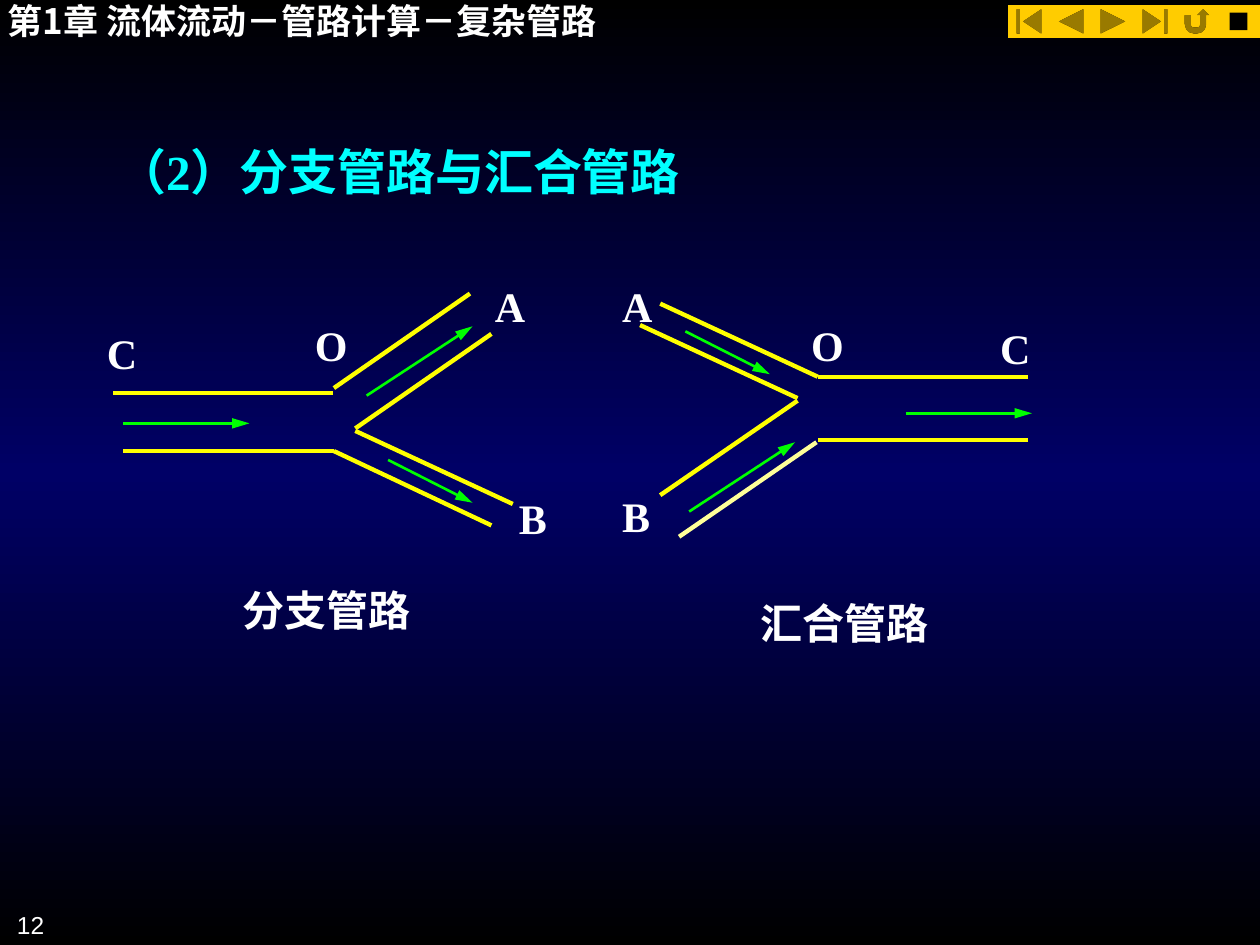
from copy import deepcopy

from pptx import Presentation
from pptx.dml.color import RGBColor
from pptx.enum.shapes import MSO_CONNECTOR, MSO_SHAPE as Shape
from pptx.enum.text import MSO_ANCHOR, MSO_AUTO_SIZE, PP_ALIGN as Align
from pptx.oxml.ns import qn
from pptx.util import Inches, Pt

# Content
HEADER = "第1章 流体流动－管路计算－复杂管路"
TITLE = "（2）分支管路与汇合管路"
PAGE_NUMBER = "12"
GRADIENT = [(0, "000000"), (0.5, "000066"), (1, "000000")]
SERIF, SANS, CJK = "Times New Roman", "Arial", "Noto Sans CJK SC"
WHITE, CYAN, GOLD, BLACK = "FFFFFF", "00FFFF", "FFCC00", "000000"
YELLOW, PALE, GREEN = "FFFF00", "FFFF99", "00FF00"

BUTTONS = [
    Shape.ACTION_BUTTON_BEGINNING, Shape.ACTION_BUTTON_BACK_OR_PREVIOUS,
    Shape.ACTION_BUTTON_FORWARD_OR_NEXT, Shape.ACTION_BUTTON_END,
    Shape.ACTION_BUTTON_RETURN, Shape.ACTION_BUTTON_CUSTOM,
]

# Pipe walls and flow arrows: x1, y1, x2, y2; labels: text, left, top, width
DIAGRAMS = {
    "branching": {
        "walls": [
            (0.9, 3.12, 2.64, 3.12), (0.98, 3.58, 2.65, 3.58),
            (2.65, 3.08, 3.73, 2.33), (2.82, 3.4, 3.9, 2.65),
            (2.82, 3.42, 4.07, 4), (2.65, 3.58, 3.9, 4.17),
        ],
        "pale walls": [],
        "flows": [
            (0.98, 3.36, 1.98, 3.36), (2.91, 3.14, 3.75, 2.59),
            (3.08, 3.65, 3.75, 3.99),
        ],
        "labels": [
            ("C", 0.75, 2.55, 0.5), ("O", 2.4, 2.49, 0.5),
            ("A", 3.83, 2.18, 0.5), ("B", 4.02, 3.86, 0.5),
            ("分支管路", 1.83, 4.59, 2.58),
        ],
    },
    "converging": {
        "walls": [
            (8.16, 3.49, 6.49, 3.49), (8.16, 2.99, 6.49, 2.99),
            (6.33, 3.18, 5.24, 3.93), (6.33, 3.16, 5.08, 2.58),
            (6.49, 2.99, 5.24, 2.41),
        ],
        "pale walls": [(6.48, 3.51, 5.39, 4.26)],
        "flows": [
            (7.19, 3.28, 8.19, 3.28), (5.47, 4.06, 6.31, 3.51),
            (5.44, 2.63, 6.11, 2.97),
        ],
        "labels": [
            ("C", 7.84, 2.51, 0.5), ("O", 6.34, 2.49, 0.5),
            ("A", 4.84, 2.18, 0.5), ("B", 4.84, 3.84, 0.5),
            ("汇合管路", 5.94, 4.69, 2.58),
        ],
    },
}
# Line style: colour, width, arrowhead
LINES = {
    "walls": (YELLOW, 2.5, False),
    "pale walls": (PALE, 2.5, False),
    "flows": (GREEN, 1.5, True),
}


def rgb(value):
    return RGBColor.from_string(value)


def apply(target, formats):
    for name, value in formats.items():
        setattr(target, name, value)


def write(box, place, text, size, color, font=SERIF, bold=True,
          align=Align.JUSTIFY, before=0):
    apply(box, dict(zip(("left", "top", "width", "height"), map(Inches, place))))
    frame = box.text_frame
    apply(frame, {
        "word_wrap": True, "auto_size": MSO_AUTO_SIZE.NONE,
        "vertical_anchor": MSO_ANCHOR.TOP,
        "margin_left": Inches(0.1), "margin_right": Inches(0.1),
        "margin_top": Inches(0.05), "margin_bottom": Inches(0.05),
    })
    para = frame.paragraphs[0]
    apply(para, {"alignment": align, "space_before": Pt(before), "line_spacing": 1.0})
    span = para.add_run()
    span.text = text
    apply(span.font, {"size": Pt(size), "bold": bold, "name": font})
    span.font.color.rgb = rgb(color)
    east = span.font._element.makeelement(qn("a:ea"), {"typeface": CJK})
    span.font._element.find(qn("a:latin")).addnext(east)


def add_text(page, place, *args, **formats):
    write(page.shapes.add_textbox(0, 0, 0, 0), place, *args, **formats)


def add_solid(page, kind, place, color):
    shape = page.shapes.add_shape(kind, *map(Inches, place))
    shape.shadow.inherit = False
    shape.fill.solid()
    shape.fill.fore_color.rgb = rgb(color)
    shape.line.fill.background()


def add_line(page, ends, color, width, arrow):
    line = page.shapes.add_connector(MSO_CONNECTOR.STRAIGHT, *map(Inches, ends))
    line.line.color.rgb = rgb(color)
    line.line.width = Pt(width)
    if arrow:
        stroke = line.line._get_or_add_ln()
        head = {"type": "triangle", "w": "med", "len": "lg"}
        stroke.append(stroke.makeelement(qn("a:tailEnd"), head))
    properties = line._element.spPr
    properties.append(properties.makeelement(qn("a:effectLst"), {}))


def paint_background(page):
    fill = page.background.fill
    fill.gradient()
    fill.gradient_angle = 90
    stop_list = next(page._element.iter(qn("a:gsLst")))
    stop_list.insert(1, deepcopy(stop_list[0]))
    for stop, (position, color) in zip(fill.gradient_stops, GRADIENT):
        stop.position = position
        stop.color.rgb = rgb(color)


def main():
    deck = Presentation()
    apply(deck, {"slide_width": Inches(10), "slide_height": Inches(7.5)})
    page = deck.slides.add_slide(deck.slide_layouts[5])
    paint_background(page)

    # Navigation buttons, side by side up to the right edge
    step = 2 / len(BUTTONS)
    for index, kind in enumerate(BUTTONS):
        add_solid(page, kind, (8 + index * step, 0.04, step, 0.26), GOLD)
    add_solid(page, Shape.RECTANGLE, (9.76, 0.1, 0.14, 0.14), BLACK)

    # Header, title and page number
    add_text(page, (-0.04, -0.05, 7.48, 0.44), HEADER, 20, WHITE,
             font=CJK, align=Align.LEFT)
    write(page.shapes.title, (0.83, 1.07, 5.5, 0.57), TITLE, 28, CYAN, before=17.5)
    add_text(page, (-0.35, 7.17, 0.8, 0.52), PAGE_NUMBER, 14, WHITE,
             font=SANS, bold=False, align=Align.RIGHT)

    # Pipe diagrams
    for diagram in DIAGRAMS.values():
        for part, style in LINES.items():
            for ends in diagram[part]:
                add_line(page, ends, *style)
        for text, left, top, width in diagram["labels"]:
            add_text(page, (left, top, width, 0.5), text, 24, WHITE, before=15)

    deck.save("out.pptx")


if __name__ == "__main__":
    main()
